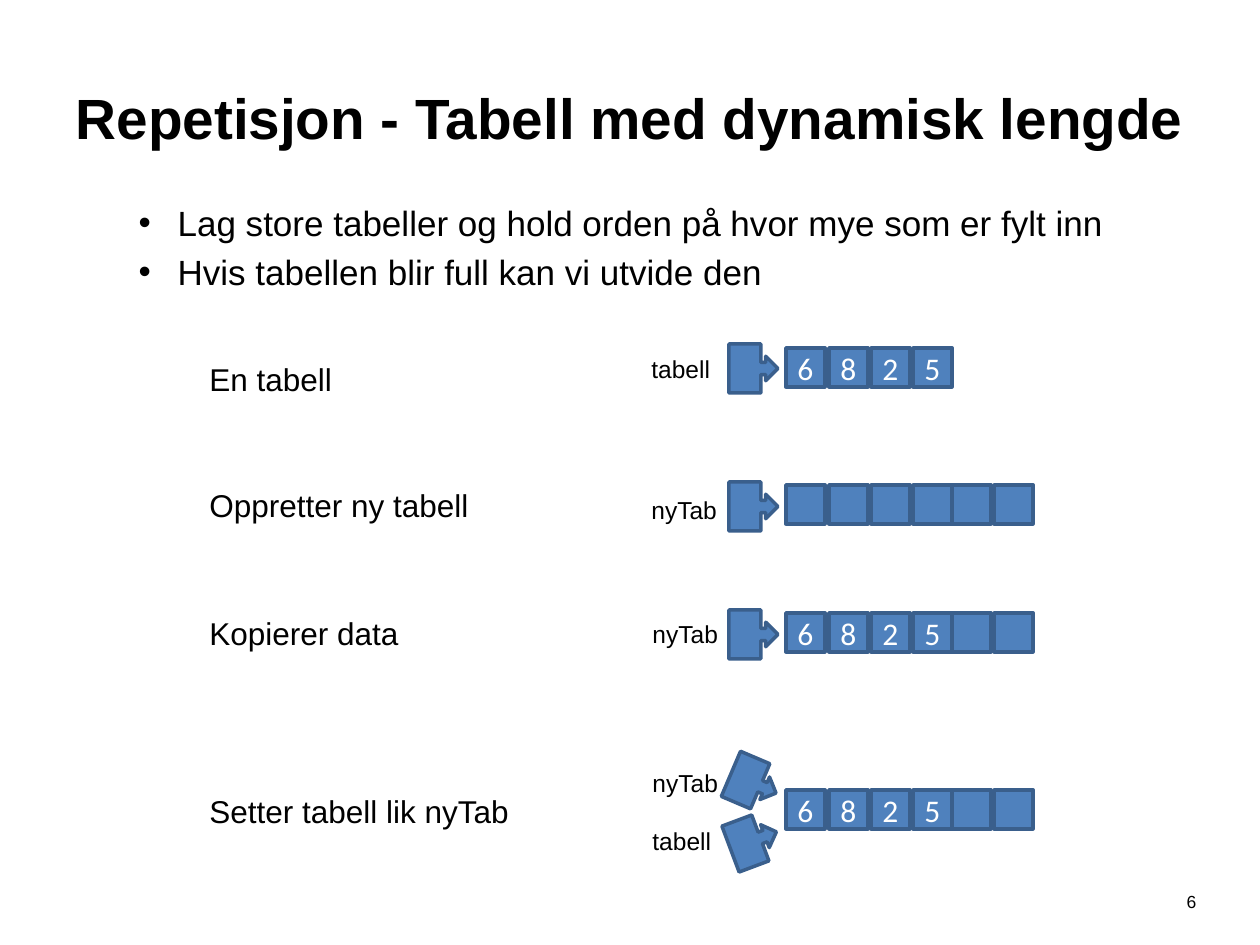
from lxml import etree
from pptx import Presentation
from pptx.dml.color import RGBColor
from pptx.enum.shapes import MSO_SHAPE
from pptx.enum.text import MSO_ANCHOR, MSO_AUTO_SIZE, PP_ALIGN
from pptx.oxml.ns import qn
from pptx.util import Pt

RECT = MSO_SHAPE.RECTANGLE
ARROW = MSO_SHAPE.RIGHT_ARROW_CALLOUT
CENTER, LEFT = PP_ALIGN.CENTER, PP_ALIGN.LEFT
MIDDLE = MSO_ANCHOR.MIDDLE
FIXED = MSO_AUTO_SIZE.NONE

BLUE = RGBColor(0x4F, 0x81, 0xBD)
EDGE = RGBColor(0x3A, 0x5F, 0x8C)
BLACK = RGBColor(0, 0, 0)
WHITE = RGBColor(255, 255, 255)

TITLE = "Repetisjon - Tabell med dynamisk lengde"
BULLETS = [
    "Lag store tabeller og hold orden på hvor mye som er fylt inn",
    "Hvis tabellen blir full kan vi utvide den",
]
FULL = ["6", "8", "2", "5"]
ROOM = ["", ""]
STEPS = [
    ("En tabell", 354, 348, FULL),
    ("Oppretter ny tabell", 480, 485, [""] * 4 + ROOM),
    ("Kopierer data", 608, 613, FULL + ROOM),
    ("Setter tabell lik nyTab", 786, 790, FULL + ROOM),
]
NAMES = [
    ("tabell", 639, 348, 344, 0),
    ("nyTab", 639, 489, 482, 0),
    ("nyTab", 640, 613, 610, 0),
    ("nyTab", 640, 762, 759, 23.1),
    ("tabell", 640, 820, 816, 339.4),
]
CELLS = (786, 829, 871, 913, 952, 994)
CELL, PIN = 39, 49


def px(n):
    return round(n * 914400 / 126)


def style(p, size, color=BLACK, face="Arial", align=LEFT, bold=False):
    p.alignment = align
    font = p.font
    font.size, font.name, font.bold = Pt(size), face, bold
    font.color.rgb = color


def place(shape, *box):
    shape.left, shape.top, shape.width, shape.height = map(px, box)


def label(text, x, y, w, h, size, align=LEFT):
    frame = slide.shapes.add_textbox(*map(px, (x, y, w, h))).text_frame
    frame.word_wrap = True
    frame.text = text
    style(frame.paragraphs[0], size, align=align)


def block(kind, x, y, side, text="", turn=0):
    shape = slide.shapes.add_shape(kind, *map(px, (x, y, side, side)))
    shape.shadow.inherit = False
    shape.fill.solid()
    shape.fill.fore_color.rgb = BLUE
    shape.line.color.rgb = EDGE
    shape.line.width = Pt(2)
    shape.rotation = turn
    if text:
        frame = shape.text_frame
        frame.margin_left = frame.margin_right = 0
        frame.margin_top = frame.margin_bottom = 0
        frame.vertical_anchor = MIDDLE
        frame.text = text
        style(frame.paragraphs[0], 18, WHITE, "Calibri", CENTER)


deck = Presentation()
deck.slide_width, deck.slide_height = px(1260), px(945)
slide = deck.slides.add_slide(deck.slide_layouts[1])
title, body = slide.placeholders

place(title, 63, 38, 1134, 157)
title.text = TITLE
title.text_frame.auto_size = FIXED
title.text_frame.vertical_anchor = MIDDLE
style(title.text_frame.paragraphs[0], 32.4, bold=True)

place(body, 63, 195, 1158, 624)
frame = body.text_frame
frame.text = "\n".join(BULLETS)
frame.auto_size = FIXED
for p in frame.paragraphs:
    p.level = 1
    style(p, 20)
    props = p._p.get_or_add_pPr()
    props.set("marL", str(px(102)))
    props.set("indent", str(px(-39)))
    mark = etree.Element(qn("a:buChar"), char="•")
    props.find(qn("a:defRPr")).addprevious(mark)

for text, y, top, row in STEPS:
    label(text, 197, y, 335, 50, 18)
    for x, value in zip(CELLS, row):
        block(RECT, x, top, CELL, value)

for text, x, y, top, turn in NAMES:
    block(ARROW, 729, top, PIN, turn=turn)
    label(text, x, y, 107, 43, 14)

label("6", 1168, 885, 47, 50, 10, CENTER)

deck.save("out.pptx")
